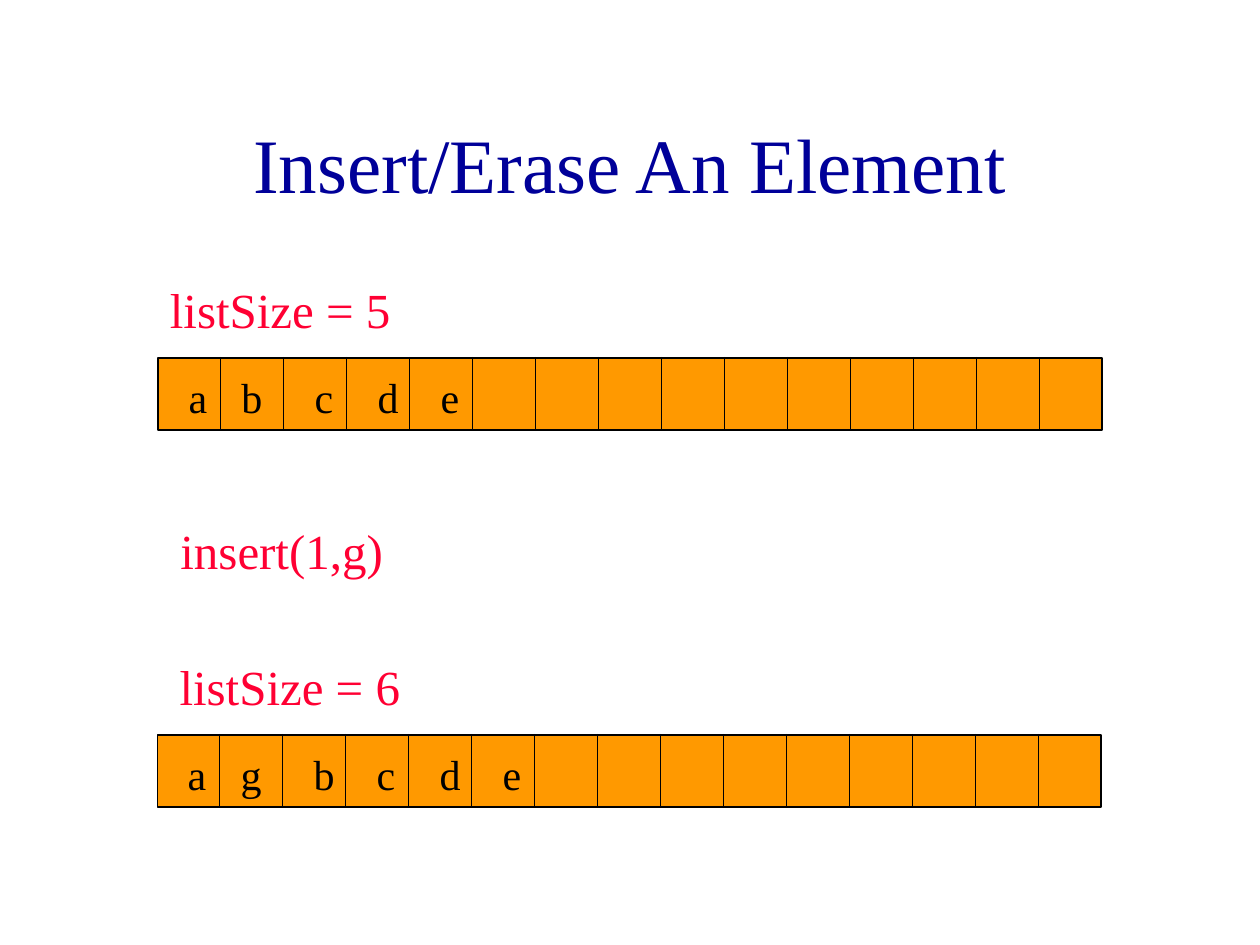
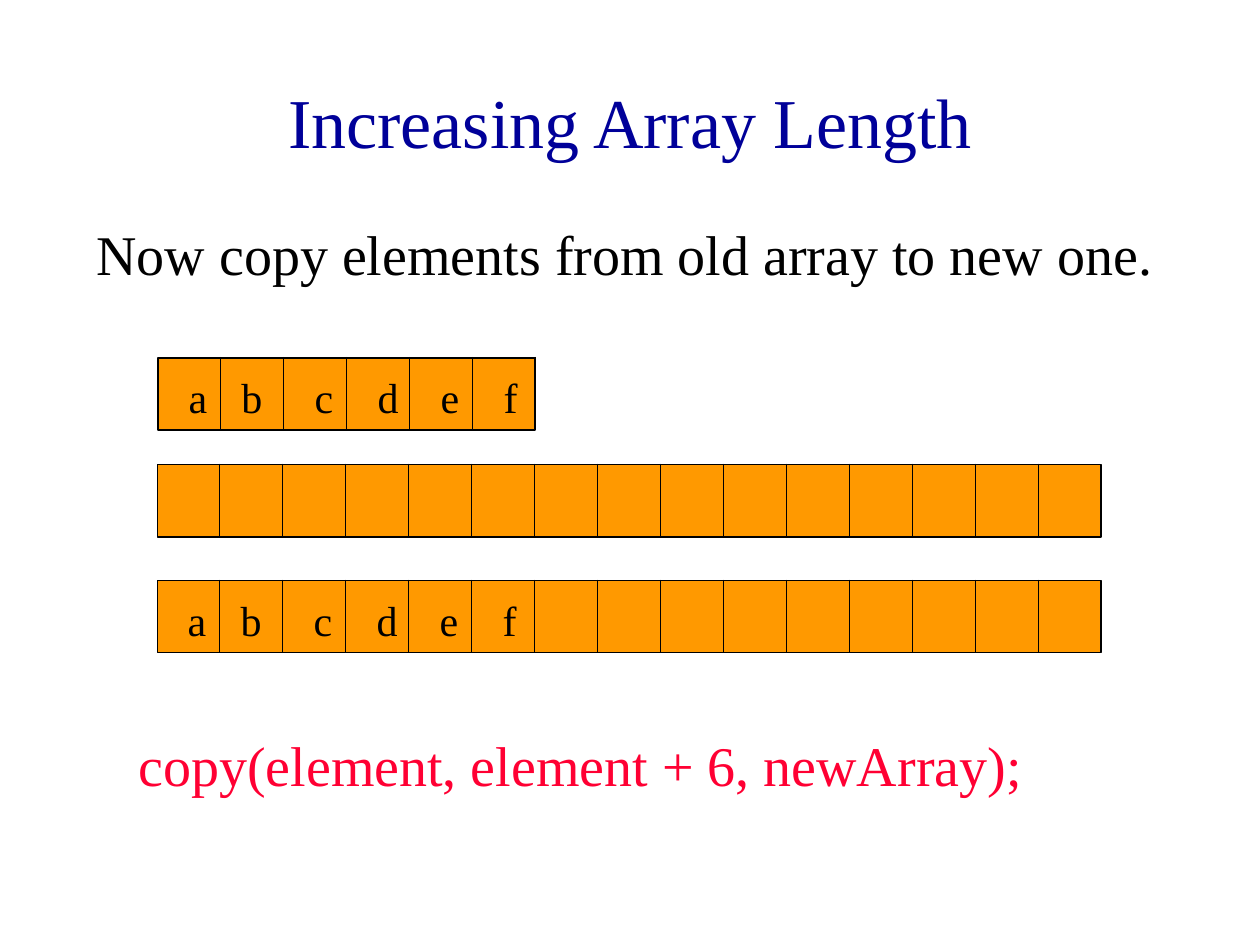
from dataclasses import dataclass

from lxml import etree
from pptx import Presentation
from pptx.dml.color import RGBColor
from pptx.enum import shapes, text
from pptx.oxml import ns
from pptx.util import Pt

COLORS = {
    "title": "000099",
    "code": "FF0033",
    "ink": "000000",
    "cell": "FF9900",
}
FONT = "Times New Roman"
CELL_WIDTH = 36
ROW_HEIGHT = 42
LETTER_INSET = 10.7
SECOND_LETTER_SHIFT = -5.8


@dataclass(frozen=True)
class Label:
    content: str
    left: float
    top: float
    width: float
    height: float = 41
    size: float = 28
    color: str = "code"
    line_spacing: float = 1.0


@dataclass(frozen=True)
class ArrayRow:
    left: float
    top: float
    letters: str = ""
    cells: int = 15
    end_line: bool = False


@dataclass(frozen=True)
class ArraySlide:
    title: str
    title_top: float
    title_size: float
    rows: list[ArrayRow]
    labels: list[Label]


SLIDES = [
    ArraySlide(
        "Insert/Erase An Element", 48, 44,
        rows=[ArrayRow(90, 204, "abcde"), ArrayRow(89.5, 419.4, "agbcde")],
        labels=[
            Label("listSize = 5", 90, 156, 156),
            Label("insert(1,g)", 96, 294, 156),
            Label("listSize = 6", 95.5, 371.5, 156),
        ],
    ),
    ArraySlide(
        "Increasing Array Length", 24, 40,
        rows=[
            ArrayRow(90, 204, "abcdef", cells=6, end_line=True),
            ArrayRow(89.5, 265),
            ArrayRow(89.5, 331.2, "abcdef"),
        ],
        labels=[
            Label("Now copy elements from old array to new one.", 48, 126, 642, 42,
                  size=32, color="ink", line_spacing=0.9),
            Label("copy(element, element + 6, newArray);", 72, 414, 606, 46, size=32),
        ],
    ),
]


def rgb(name: str) -> RGBColor:
    return RGBColor.from_string(COLORS[name])


def write_text(shape, content: str, *, size: float, color: str,
               align=text.PP_ALIGN.LEFT, anchor=text.MSO_ANCHOR.TOP,
               line_spacing: float = 1.0) -> None:
    frame = shape.text_frame
    frame.word_wrap = True
    frame.auto_size = text.MSO_AUTO_SIZE.NONE
    frame.vertical_anchor = anchor
    paragraph = frame.paragraphs[0]
    paragraph.alignment = align
    paragraph.line_spacing = line_spacing
    run = paragraph.add_run()
    run.text = content
    run.font.name = FONT
    run.font.size = Pt(size)
    run.font.color.rgb = rgb(color)


def add_title(slide, content: str, top: float, size: float) -> None:
    title = slide.shapes.title
    title.left, title.top, title.width, title.height = Pt(54), Pt(top), Pt(612), Pt(90)
    write_text(title, content, size=size, color="title",
               align=text.PP_ALIGN.CENTER, anchor=text.MSO_ANCHOR.MIDDLE)


def add_label(container, label: Label) -> None:
    box = container.add_textbox(Pt(label.left), Pt(label.top), Pt(label.width), Pt(label.height))
    write_text(box, label.content, size=label.size, color=label.color,
               line_spacing=label.line_spacing)


def set_outline(shape) -> None:
    shape.line.color.rgb = rgb("ink")
    shape.line.width = Pt(1)


def add_divider(container, x: float, top: float) -> None:
    divider = container.add_connector(
        shapes.MSO_CONNECTOR.STRAIGHT, Pt(x), Pt(top), Pt(x), Pt(top + ROW_HEIGHT))
    set_outline(divider)
    etree.SubElement(divider._element.spPr, ns.qn("a:effectLst"))


def add_array(slide, row: ArrayRow) -> None:
    """Draw one grouped array: a bar, its cell dividers and its letters."""
    container = slide.shapes.add_group_shape().shapes
    bar = container.add_shape(
        shapes.MSO_SHAPE.RECTANGLE, Pt(row.left + 0.5), Pt(row.top + 0.5),
        Pt(row.cells * CELL_WIDTH - 0.75), Pt(ROW_HEIGHT - 0.75))
    bar.shadow.inherit = False
    bar.fill.solid()
    bar.fill.fore_color.rgb = rgb("cell")
    set_outline(bar)

    for index in range(1, row.cells + row.end_line):
        add_divider(container, row.left + index * CELL_WIDTH, row.top)

    for index, letter in enumerate(row.letters):
        shift = SECOND_LETTER_SHIFT if index == 1 else 0
        left = row.left + index * CELL_WIDTH + LETTER_INSET + shift
        add_label(container, Label(letter, left, row.top + 4.8, 28, 36, size=24, color="ink"))


def main() -> None:
    presentation = Presentation()
    presentation.slide_width, presentation.slide_height = Pt(720), Pt(540)
    title_only = presentation.slide_layouts.get_by_name("Title Only")
    for content in SLIDES:
        slide = presentation.slides.add_slide(title_only)
        add_title(slide, content.title, content.title_top, content.title_size)
        for row in content.rows:
            add_array(slide, row)
        for label in content.labels:
            add_label(slide.shapes, label)
    presentation.save("out.pptx")


if __name__ == "__main__":
    main()
